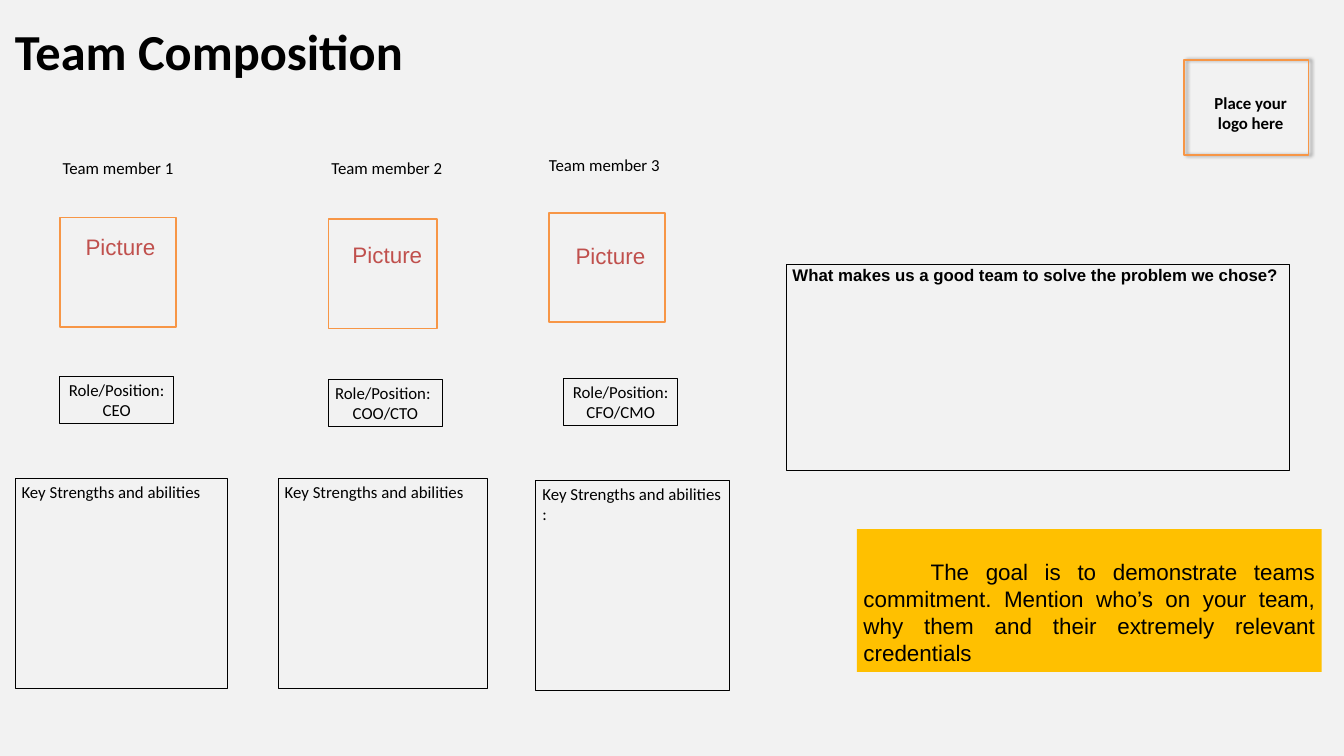
from dataclasses import dataclass

from lxml.etree import SubElement
from pptx import Presentation
from pptx.dml.color import RGBColor
from pptx.enum.shapes import MSO_SHAPE
from pptx.enum.text import MSO_ANCHOR, PP_ALIGN
from pptx.oxml.ns import qn
from pptx.util import Pt


@dataclass(frozen=True)
class Theme:
    """Colours, fonts and type sizes of the slide."""
    paper: str = "F2F2F2"
    ink: str = "000000"
    frame: str = "F79646"
    red: str = "C0504D"
    gold: str = "FFC000"
    sans: str = "Calibri"
    plain: str = "Arial"
    title: int = 54
    large: int = 24
    text: int = 18


@dataclass(frozen=True)
class Member:
    """Words and places of one team member's column."""
    name: str
    post: str
    skill: str
    name_at: tuple
    frame_at: tuple
    photo_at: tuple
    post_at: tuple
    skill_at: tuple
    role_side: PP_ALIGN = PP_ALIGN.CENTER


THEME = Theme()
TEAM = (
    Member("Team member 1", "CEO", "Key Strengths and abilities",
           (60, 165, 139, 29), (64, 233, 125, 117), (76, 246, 106, 36),
           (64, 403, 122, 51), (16, 513, 228, 225)),
    Member("Team member 2", "COO/CTO", "Key Strengths and abilities",
           (348, 165, 161, 29), (352, 235, 116, 117), (362, 255, 106, 36),
           (352, 406, 122, 51), (298, 513, 224, 225), PP_ALIGN.LEFT),
    Member("Team member 3", "CFO/CMO", "Key Strengths and abilities :",
           (581, 162, 161, 29), (588, 228, 125, 117), (601, 256, 106, 36),
           (604, 405, 122, 51), (574, 515, 207, 225)),
)


def tint(code):
    """Turn a hex code into a colour."""
    return RGBColor.from_string(code)


def write(frame, lines, size=THEME.text, face=THEME.sans, color=THEME.ink,
          bold=False):
    """Fill a text frame with (words, alignment) lines and return the first paragraph."""
    frame.word_wrap = True
    frame.vertical_anchor = MSO_ANCHOR.TOP
    for i, (words, side) in enumerate(lines):
        para = frame.add_paragraph() if i else frame.paragraphs[0]
        para.alignment = side
        run = para.add_run()
        run.text = words
        font = run.font
        font.size, font.name, font.bold = Pt(size), face, bold
        font.color.rgb = tint(color)
    return frame.paragraphs[0]


def add_title(slide, words, place):
    """Move and fill the title placeholder."""
    title = slide.shapes.title
    title.left, title.top, title.width, title.height = map(Pt, place)
    frame = title.text_frame
    frame.margin_left = frame.margin_right = 0
    frame.margin_top = frame.margin_bottom = 0
    para = write(frame, [(words, PP_ALIGN.LEFT)], THEME.title, bold=True)
    para.line_spacing = Pt(87.5)


def add_label(slide, words, place, side=PP_ALIGN.LEFT, **style):
    """Add a one-paragraph text box."""
    box = slide.shapes.add_textbox(*map(Pt, place))
    write(box.text_frame, [(words, side)], **style)
    return box


def add_box(slide, place, line=None, width=0.75, fill=None):
    """Add a rectangle with an optional outline and fill."""
    box = slide.shapes.add_shape(MSO_SHAPE.RECTANGLE, *map(Pt, place))
    box.shadow.inherit = False
    if fill:
        box.fill.solid()
        box.fill.fore_color.rgb = tint(fill)
    else:
        box.fill.background()
    if line:
        box.line.color.rgb = tint(line)
        box.line.width = Pt(width)
    else:
        box.line.fill.background()
    return box


def add_shadow(box):
    """Give a shape a soft shadow to its right."""
    effects = box.element.spPr.find(qn("a:effectLst"))
    outer = SubElement(effects, qn("a:outerShdw"), blurRad=str(Pt(4)),
                       dist=str(Pt(3)), dir="0", rotWithShape="0")
    color = SubElement(outer, qn("a:srgbClr"), val=THEME.ink)
    SubElement(color, qn("a:alpha"), val="40000")


def add_member(slide, who):
    """Add one team member's column."""
    add_label(slide, who.name, who.name_at)
    add_box(slide, who.frame_at, THEME.frame, 2)
    add_label(slide, "Picture", who.photo_at, PP_ALIGN.CENTER,
              size=THEME.large, face=THEME.plain, color=THEME.red)
    post = add_box(slide, who.post_at, THEME.ink)
    write(post.text_frame, [("Role/Position:", who.role_side),
                            (who.post, PP_ALIGN.CENTER)])
    skill = add_box(slide, who.skill_at, THEME.ink)
    write(skill.text_frame, [(who.skill, PP_ALIGN.LEFT)])


def add_logo(slide):
    """Add the framed space for a logo."""
    add_shadow(add_box(slide, (1269, 64, 133, 102), THEME.frame, 2))
    add_label(slide, "Place your logo here", (1284, 96, 112, 49),
              PP_ALIGN.CENTER, bold=True)


def add_query(slide):
    """Add the box with the question about the team."""
    box = add_box(slide, (842, 283, 539, 221), THEME.ink)
    words = "What makes us a good team to solve the problem we chose?"
    para = write(box.text_frame, [(words, PP_ALIGN.LEFT)],
                 face=THEME.plain, bold=True)
    para.line_spacing = 0.9


def add_goal(slide):
    """Add the gold note with an indented first line."""
    box = add_box(slide, (918, 567, 498, 153), fill=THEME.gold)
    box.text_frame.margin_top = Pt(31)
    words = ("The goal is to demonstrate teams commitment. Mention who’s on "
             "your team, why them and their extremely relevant credentials")
    para = write(box.text_frame, [(words, PP_ALIGN.JUSTIFY)],
                 THEME.large, THEME.plain)
    para._p.get_or_add_pPr().set("indent", str(Pt(72)))


def main():
    """Build and save the slide."""
    deck = Presentation()
    deck.slide_width, deck.slide_height = Pt(1440), Pt(810)
    slide = deck.slides.add_slide(deck.slide_layouts[5])
    slide.background.fill.solid()
    slide.background.fill.fore_color.rgb = tint(THEME.paper)
    add_title(slide, "Team Composition", (16, -1, 971, 81))
    add_logo(slide)
    for who in TEAM:
        add_member(slide, who)
    add_query(slide)
    add_goal(slide)
    deck.save("out.pptx")


if __name__ == "__main__":
    main()
